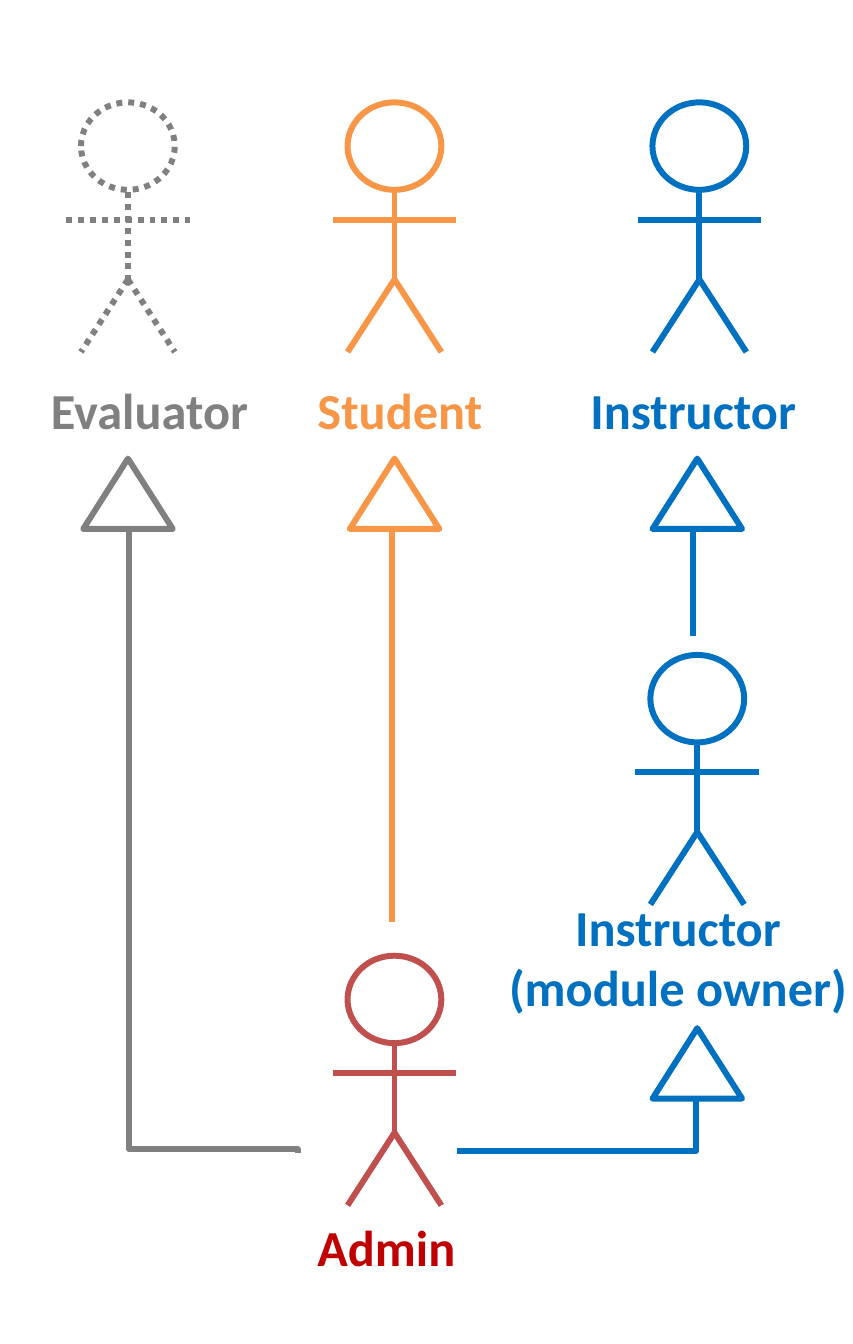
from pptx import Presentation
from pptx.dml.color import RGBColor
from pptx.enum.dml import MSO_LINE
from pptx.enum.shapes import MSO_CONNECTOR, MSO_SHAPE
from pptx.enum.text import MSO_AUTO_SIZE, PP_ALIGN
from pptx.oxml.ns import qn
from pptx.util import Inches, Pt
from lxml import etree

STRAIGHT, ELBOW = MSO_CONNECTOR.STRAIGHT, MSO_CONNECTOR.ELBOW
HEAD, ARROW = MSO_SHAPE.FLOWCHART_CONNECTOR, MSO_SHAPE.ISOSCELES_TRIANGLE
DOTS, FIT = MSO_LINE.ROUND_DOT, MSO_AUTO_SIZE.SHAPE_TO_FIT_TEXT
LEFT, CENTER = PP_ALIGN.LEFT, PP_ALIGN.CENTER
GRAY, ORANGE, BLUE, RED, DARK = "808080", "F79646", "0070C0", "C0504D", "C00000"
WHITE = "FFFFFF"

# Actors: centre x, top, colour, dash
ACTORS = [
    (1.85, 0.48, ORANGE, None),
    (0.6, 0.48, GRAY, DOTS),
    (3.27, 3.07, BLUE, None),
    (1.85, 4.48, RED, None),
    (3.28, 0.48, BLUE, None),
]
# Limbs, measured from the top centre of an actor
LIMBS = [
    (0, 0.42, 0, 0.83),
    (0, 0.83, -0.22, 1.17),
    (0, 0.83, 0.22, 1.17),
    (-0.29, 0.55, 0.29, 0.55),
]
# Labels: text, left, top, width, height, colour, alignment
LABELS = [
    ("Student", 1.39, 1.73, 1.08, 0.39, ORANGE, LEFT),
    ("Evaluator", 0.14, 1.73, 1.25, 0.39, GRAY, LEFT),
    ("Instructor", 2.67, 1.73, 1.25, 0.39, BLUE, LEFT),
    ("Instructor (module owner)", 2.25, 4.15, 1.86, 0.67, BLUE, CENTER),
    ("Admin", 1.39, 5.65, 0.92, 0.39, DARK, LEFT),
]
# Straight links: ends, colour
LINKS = [
    (1.84, 2.48, 1.84, 4.32, ORANGE),
    (3.25, 2.4, 3.25, 2.98, BLUE),
]
# Bent links: left, top, width, height before turning, colour, preset, degrees, flip, bend
BENDS = [
    (2.58, 4.71, 0.25, 1.12, BLUE, "bentConnector2", 90, False, None),
    (-0.46, 3.55, 2.92, 0.79, GRAY, "bentConnector3", 270, True, 0.994),
]
# Arrowheads: centre x, top, colour
TIPS = [(1.85, 2.15, ORANGE), (3.27, 4.82, BLUE), (0.6, 2.15, GRAY), (3.27, 2.15, BLUE)]


def color(code):
    return RGBColor.from_string(code)


def stroke(item, code, dash=None):
    item.line.color.rgb = color(code)
    item.line.width = Pt(2)
    if dash:
        item.line.dash_style = dash


def outline(parent, kind, mid, top, wide, high, code, dash=None):
    shape = parent.add_shape(kind, Inches(mid - wide / 2), Inches(top),
                             Inches(wide), Inches(high))
    shape.shadow.inherit = False
    shape.fill.solid()
    shape.fill.fore_color.rgb = color(WHITE)
    stroke(shape, code, dash)


def link(parent, kind, ends, code, dash=None):
    line = parent.add_connector(kind, *[Inches(n) for n in ends])
    stroke(line, code, dash)
    etree.SubElement(line._element.spPr, qn("a:effectLst"))
    return line


def bend(left, top, wide, high, code, preset, turn, flip, ratio):
    line = link(shapes, ELBOW, (left, top, left + wide, top + high), code)
    props = line._element.spPr
    frame, geom = props.find(qn("a:xfrm")), props.find(qn("a:prstGeom"))
    frame.set("rot", str(turn * 60000))
    if flip:
        frame.set("flipH", "1")
    geom.set("prst", preset)
    if ratio:
        guides = geom.find(qn("a:avLst"))
        etree.SubElement(guides, qn("a:gd"), name="adj1",
                         fmla=f"val {round(ratio * 100000)}")


deck = Presentation()
deck.slide_width, deck.slide_height = Inches(4), Inches(6.3)
shapes = deck.slides.add_slide(deck.slide_layouts[6]).shapes

# Stick figures
for mid, top, code, dash in ACTORS:
    group = shapes.add_group_shape().shapes
    outline(group, HEAD, mid, top, 0.44, 0.41, code, dash)
    for x1, y1, x2, y2 in LIMBS:
        link(group, STRAIGHT, (mid + x1, top + y1, mid + x2, top + y2), code, dash)

# Labels
for text, left, top, wide, high, code, align in LABELS:
    frame = shapes.add_textbox(*map(Inches, (left, top, wide, high))).text_frame
    frame.word_wrap = True
    frame.auto_size = FIT
    para = frame.paragraphs[0]
    para.alignment = align
    run = para.add_run()
    run.text = text
    run.font.name, run.font.size, run.font.bold = "Calibri", Pt(17), True
    run.font.color.rgb = color(code)

# Inheritance links and their arrowheads
for *ends, code in LINKS:
    link(shapes, STRAIGHT, ends, code)
for item in BENDS:
    bend(*item)
for mid, top, code in TIPS:
    outline(shapes, ARROW, mid, top, 0.42, 0.33, code)

deck.save("out.pptx")
